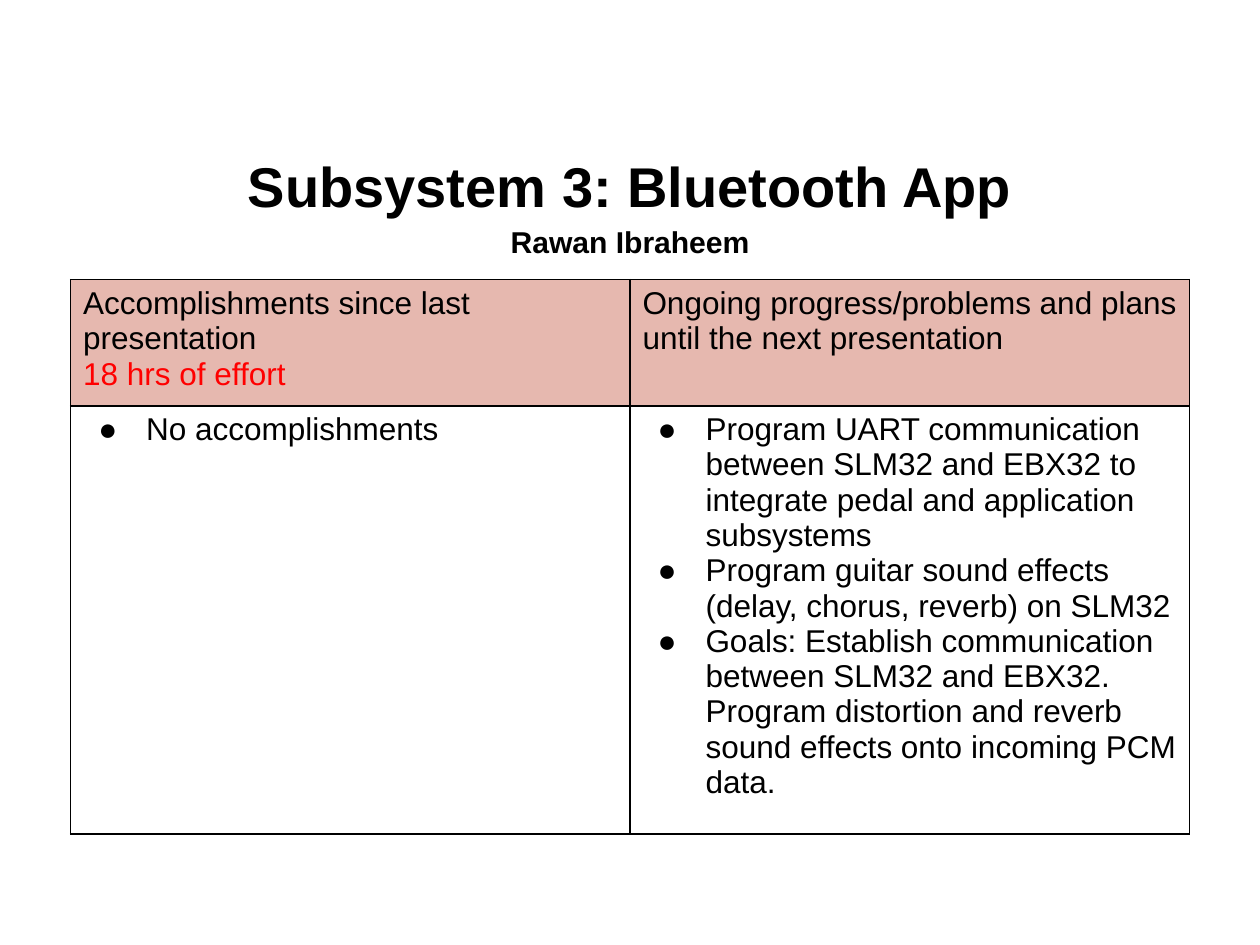
from lxml import etree
from pptx import Presentation
from pptx.dml.color import RGBColor
from pptx.enum.text import MSO_ANCHOR, PP_ALIGN
from pptx.oxml.ns import qn
from pptx.util import Inches, Pt

CENTER = PP_ALIGN.CENTER
MIDDLE = MSO_ANCHOR.MIDDLE
FONT = "Arial"
BLACK, RED, HEADER_PINK = "000000", "FF0000", "E6B8AF"
COLUMN_WIDTH = 4.44
ROW_HEIGHTS = [0.7, 1.9]  # minimums: rows grow with their text

HEADERS = [
    [("Accomplishments since last presentation", BLACK), ("18 hrs of effort", RED)],
    [("Ongoing progress/problems and plans until the next presentation", BLACK)],
]
UPDATES = [
    ["No accomplishments"],
    [
        "Program UART communication between SLM32 and EBX32 to integrate "
        "pedal and application subsystems",
        "Program guitar sound effects (delay, chorus, reverb) on SLM32",
        "Goals: Establish communication between SLM32 and EBX32. Program "
        "distortion and reverb sound effects onto incoming PCM data.",
    ],
]


def rgb(color):
    return RGBColor.from_string(color)


def set_font(paragraph, size, color=BLACK, bold=False):
    font = paragraph.font
    font.name, font.size, font.bold = FONT, Pt(size), bold
    font.color.rgb = rgb(color)


def add_bullet(paragraph):
    properties = paragraph._p.get_or_add_pPr()
    properties.set("marL", str(Inches(0.5)))
    properties.set("indent", str(Inches(-0.38)))
    bullet_color = etree.SubElement(properties, qn("a:buClr"))
    etree.SubElement(bullet_color, qn("a:srgbClr"), val=BLACK)
    etree.SubElement(properties, qn("a:buSzPts"), val="1800")
    etree.SubElement(properties, qn("a:buFont"), typeface=FONT)
    etree.SubElement(properties, qn("a:buChar"), char="●")


def add_borders(cell):
    """Outline a cell; call before its fill, which must follow the lines."""
    properties = cell._tc.get_or_add_tcPr()
    for side in ("lnL", "lnR", "lnT", "lnB"):
        line = etree.SubElement(properties, qn(f"a:{side}"), w=str(Pt(1)))
        fill = etree.SubElement(line, qn("a:solidFill"))
        etree.SubElement(fill, qn("a:srgbClr"), val=BLACK)


def fill_cell(cell, entries, background=None, bulleted=False):
    add_borders(cell)
    if background:
        cell.fill.solid()
        cell.fill.fore_color.rgb = rgb(background)
    else:
        cell.fill.background()
    frame = cell.text_frame
    frame.text = "\n".join(text for text, _ in entries)
    for paragraph, (_, color) in zip(frame.paragraphs, entries):
        if bulleted:
            add_bullet(paragraph)
        set_font(paragraph, 18, color)


def add_heading(slide):
    heading = slide.shapes.add_textbox(
        Inches(0.5), Inches(1.15), Inches(9), Inches(0.88))
    frame = heading.text_frame
    frame.word_wrap = True
    frame.vertical_anchor = MIDDLE
    frame.text = "Subsystem 3: Bluetooth App\nRawan Ibraheem"
    for paragraph, size in zip(frame.paragraphs, (32, 17.2)):
        paragraph.alignment = CENTER
        paragraph.line_spacing = 1.15
        set_font(paragraph, size, bold=True)


def add_status_table(slide):
    table = slide.shapes.add_table(
        2, 2, Inches(0.56), Inches(2.22),
        Inches(2 * COLUMN_WIDTH), Inches(sum(ROW_HEIGHTS))).table
    for row, height in zip(table.rows, ROW_HEIGHTS):
        row.height = Inches(height)
    for index, (header, updates) in enumerate(zip(HEADERS, UPDATES)):
        table.columns[index].width = Inches(COLUMN_WIDTH)
        fill_cell(table.cell(0, index), header, background=HEADER_PINK)
        fill_cell(table.cell(1, index), [(text, BLACK) for text in updates],
                  bulleted=True)


def main():
    presentation = Presentation()
    presentation.slide_width = Inches(10)
    presentation.slide_height = Inches(7.5)
    slide = presentation.slides.add_slide(presentation.slide_layouts[6])
    add_heading(slide)
    add_status_table(slide)
    presentation.save("out.pptx")


if __name__ == "__main__":
    main()
